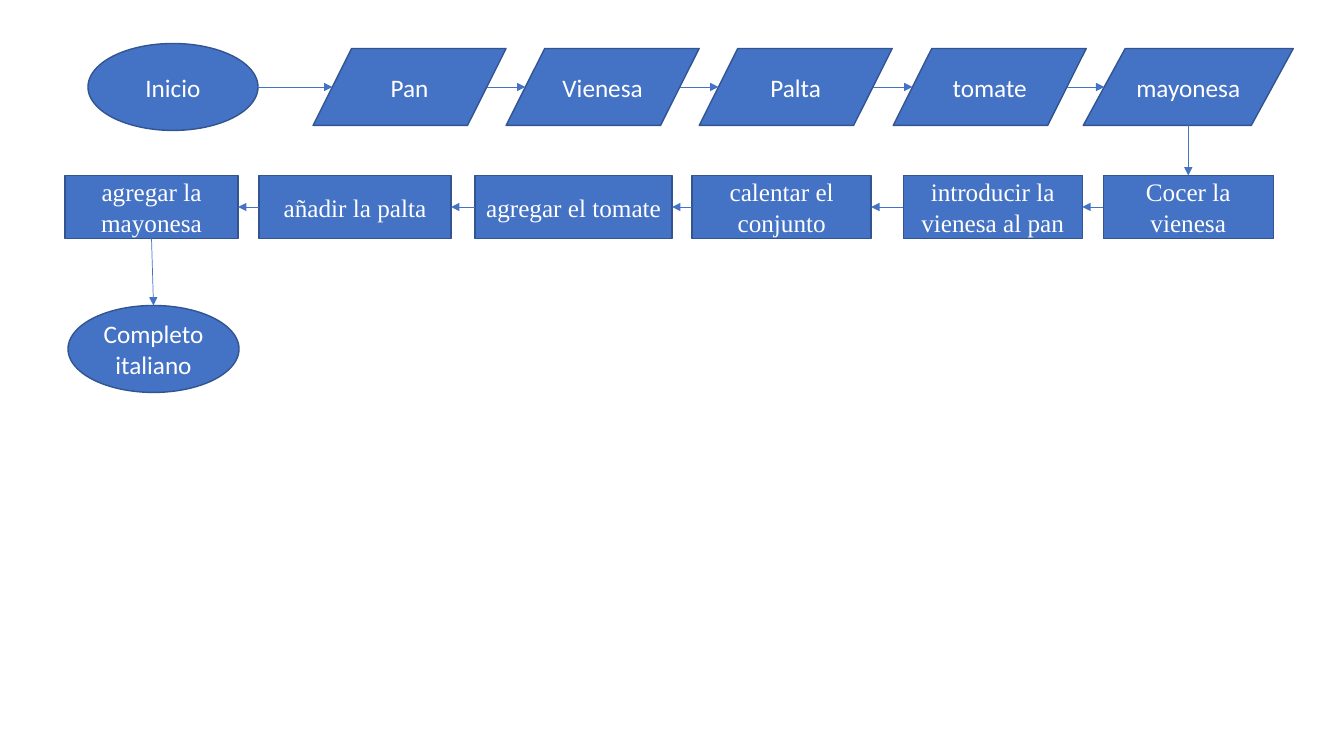
from itertools import pairwise

from lxml import etree
from pptx import Presentation
from pptx.dml.color import RGBColor
from pptx.enum.shapes import MSO_CONNECTOR, MSO_SHAPE
from pptx.enum.text import MSO_ANCHOR, PP_ALIGN
from pptx.oxml.ns import qn
from pptx.util import Inches, Pt

TERMINAL = MSO_SHAPE.OVAL
INGREDIENT = MSO_SHAPE.FLOWCHART_DATA
STEP = MSO_SHAPE.RECTANGLE
STRAIGHT = MSO_CONNECTOR.STRAIGHT
MIDDLE = MSO_ANCHOR.MIDDLE
CENTER = PP_ALIGN.CENTER

BLUE, DARK_BLUE, WHITE = "4472C4", "325491", "FFFFFF"

# Each kind: font, height, share of the width by which its sides are inset
KINDS = {
    TERMINAL: ("Calibri", 87, 0),
    INGREDIENT: ("Calibri", 77, 0.1),
    STEP: ("Times New Roman", 63, 0),
}

# Rows in reading order of the flow: middle height, then kind, text, left, width
ROWS = [
    (87, [
        (TERMINAL, "Inicio", 88, 170),
        (INGREDIENT, "Pan", 313, 193),
        (INGREDIENT, "Vienesa", 506, 193),
        (INGREDIENT, "Palta", 699, 193),
        (INGREDIENT, "tomate", 893, 193),
        (INGREDIENT, "mayonesa", 1083, 210),
    ]),
    (207, [
        (STEP, "Cocer la vienesa", 1103, 170),
        (STEP, "introducir la vienesa al pan", 903, 179),
        (STEP, "calentar el conjunto", 692, 179),
        (STEP, "agregar el tomate", 475, 197),
        (STEP, "añadir la palta", 259, 192),
        (STEP, "agregar la mayonesa", 65, 173),
    ]),
    (349, [(TERMINAL, "Completo italiano", 68, 171)]),
]


def px(length):
    """Turn pixels into EMU."""
    return round(length * Inches(1) / 100.8)


def color(hex_string):
    """Turn a hex string into a colour."""
    return RGBColor.from_string(hex_string)


def add_node(slide, middle, kind, text, left, width):
    """Draw one labelled flowchart node centred on the given height."""
    font_name, height, _ = KINDS[kind]
    shape = slide.shapes.add_shape(
        kind, px(left), px(middle - height / 2), px(width), px(height))
    shape.shadow.inherit = False
    shape.fill.solid()
    shape.fill.fore_color.rgb = color(BLUE)
    shape.line.color.rgb = color(DARK_BLUE)
    shape.line.width = Pt(1)
    frame = shape.text_frame
    frame.text = text
    frame.word_wrap = True
    frame.vertical_anchor = MIDDLE
    paragraph = frame.paragraphs[0]
    paragraph.alignment = CENTER
    font = paragraph.runs[0].font
    font.name, font.size = font_name, Pt(18)
    font.color.rgb = color(WHITE)


def add_arrow(slide, start, end):
    """Draw a thin arrow between two points."""
    connector = slide.shapes.add_connector(
        STRAIGHT, *(px(length) for length in (*start, *end)))
    connector.line.color.rgb = color(BLUE)
    connector.line.width = Pt(0.5)
    line = connector.line._get_or_add_ln()
    etree.SubElement(line, qn("a:tailEnd"), type="triangle")
    etree.SubElement(connector._element.spPr, qn("a:effectLst"))


def side_edges(node):
    """Give the left and right ends of a node at its middle height."""
    kind, _, left, width = node
    inset = KINDS[kind][2] * width
    return left + inset, left + width - inset


def join_across(slide, middle, node, following):
    """Join two neighbours of a row by their facing sides."""
    left, right = side_edges(node)
    next_left, next_right = side_edges(following)
    start, end = (right, next_left) if left < next_left else (left, next_right)
    add_arrow(slide, (start, middle), (end, middle))


def join_down(slide, row, next_row):
    """Join the last node of a row to the first node of the next."""
    points = []
    for (middle, nodes), index, direction in ((row, -1, 1), (next_row, 0, -1)):
        kind, _, left, width = nodes[index]
        points.append((left + width / 2, middle + direction * KINDS[kind][1] / 2))
    add_arrow(slide, *points)


presentation = Presentation()
presentation.slide_width, presentation.slide_height = Inches(13.33), Inches(7.5)
slide = presentation.slides.add_slide(presentation.slide_layouts[6])

for middle, nodes in ROWS:
    for node in nodes:
        add_node(slide, middle, *node)
    for node, following in pairwise(nodes):
        join_across(slide, middle, node, following)
for row, next_row in pairwise(ROWS):
    join_down(slide, row, next_row)

presentation.save("out.pptx")
